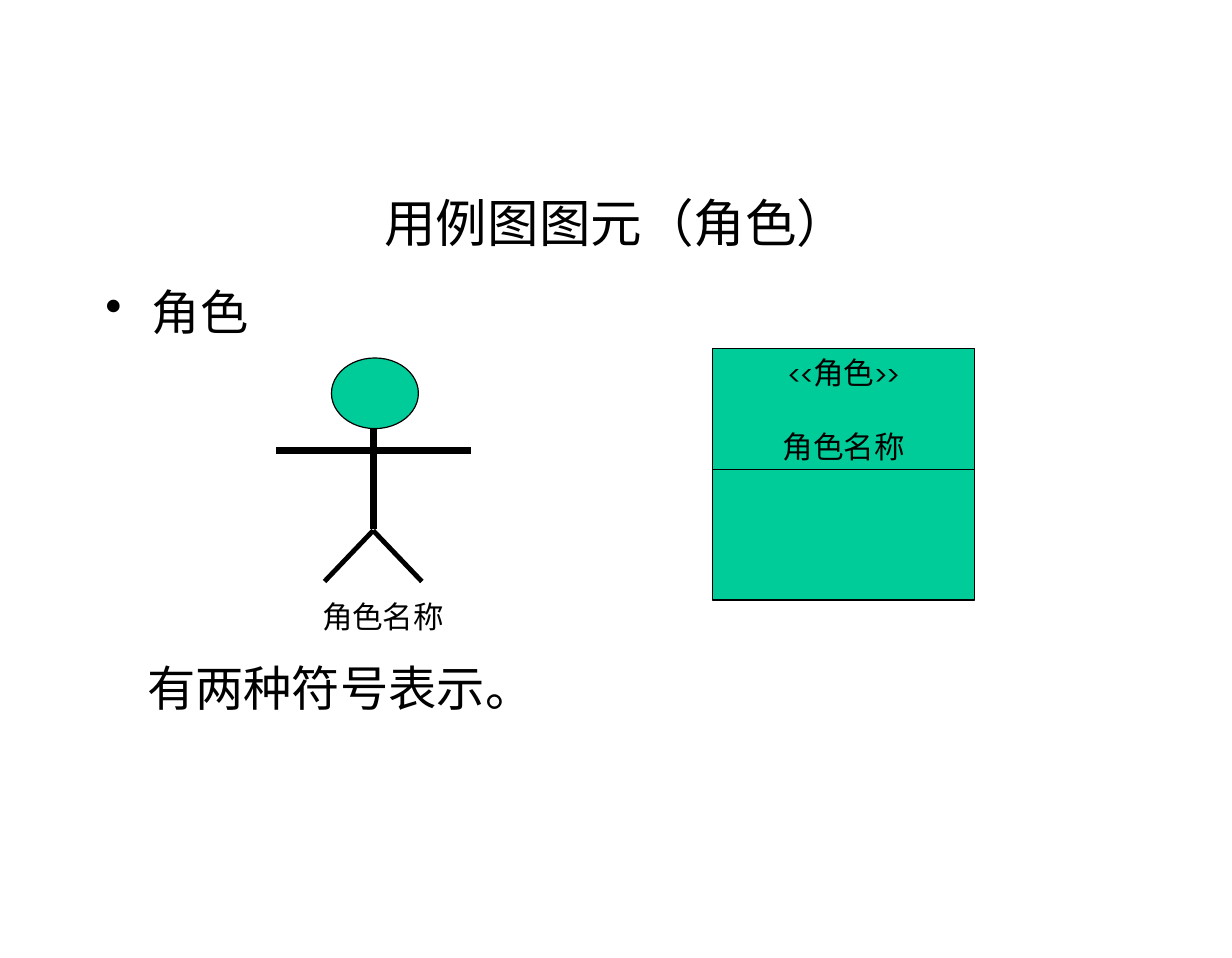
from dataclasses import dataclass

from lxml import etree
from pptx import Presentation
from pptx.dml.color import RGBColor
from pptx.enum.shapes import MSO_CONNECTOR, MSO_SHAPE
from pptx.enum.text import MSO_ANCHOR, PP_ALIGN
from pptx.oxml.ns import qn
from pptx.util import Inches, Pt

STRAIGHT = MSO_CONNECTOR.STRAIGHT
OVAL, RECTANGLE = MSO_SHAPE.OVAL, MSO_SHAPE.RECTANGLE
TOP, MIDDLE = MSO_ANCHOR.TOP, MSO_ANCHOR.MIDDLE
LEFT, CENTER = PP_ALIGN.LEFT, PP_ALIGN.CENTER


@dataclass(frozen=True)
class Theme:
    """Colours, fonts, type sizes and line widths of the slide."""
    ink: RGBColor = RGBColor(0x00, 0x00, 0x00)
    symbol: RGBColor = RGBColor(0x00, 0xCC, 0x99)
    text_font: str = "Times New Roman"
    label_font: str = "Cabin"
    title_size: int = 32
    body_size: int = 30
    label_size: int = 19
    thin: float = 0.75
    leg: float = 3
    limb: float = 4.5


THEME = Theme()


def set_frame(frame, anchor=TOP, wrap=True):
    """Set the margins, anchor and wrapping of a text frame."""
    frame.margin_left = frame.margin_right = Inches(0.11)
    frame.margin_top = frame.margin_bottom = Inches(0.05)
    frame.vertical_anchor = anchor
    frame.word_wrap = wrap


def write(para, words, font, size, align=LEFT):
    """Add one run of words to a paragraph."""
    para.alignment = align
    span = para.add_run()
    span.text = words
    span.font.name = font
    span.font.size = Pt(size)
    span.font.color.rgb = THEME.ink


def add_text(shapes, box, words, font, size, align=LEFT, anchor=TOP, wrap=True):
    """Add a one-paragraph text box and return its paragraph."""
    frame = shapes.add_textbox(*map(Inches, box)).text_frame
    set_frame(frame, anchor, wrap)
    para = frame.paragraphs[0]
    write(para, words, font, size, align)
    return para


def add_bullet(para, indent):
    """Give a paragraph a round bullet with a hanging indent."""
    properties = para._p.get_or_add_pPr()
    properties.set("marL", str(Inches(indent)))
    properties.set("indent", str(-Inches(indent)))
    etree.SubElement(properties, qn("a:buChar")).set("char", "•")


def add_line(shapes, start, end, width):
    """Draw a straight black line without a shadow."""
    line = shapes.add_connector(STRAIGHT, *map(Inches, (*start, *end)))
    line.line.color.rgb = THEME.ink
    line.line.width = Pt(width)
    etree.SubElement(line._element.spPr, qn("a:effectLst"))


def add_symbol(shapes, kind, box):
    """Draw a green shape with a thin black outline."""
    shape = shapes.add_shape(kind, *map(Inches, box))
    shape.shadow.inherit = False
    shape.fill.solid()
    shape.fill.fore_color.rgb = THEME.symbol
    shape.line.color.rgb = THEME.ink
    shape.line.width = Pt(THEME.thin)
    return shape


def add_title(page, box):
    """Place the centred slide title."""
    add_text(page.shapes, box, "用例图图元（角色）", THEME.text_font,
             THEME.title_size, CENTER, MIDDLE)


def add_body(page, box):
    """Place the bullet at the top of the box and the remark below the symbols."""
    left, top, width, height = box
    line_height = 0.75
    bullet = add_text(page.shapes, (left, top, width, line_height), "角色",
                      THEME.text_font, THEME.body_size)
    bullet.space_before = Pt(7.5)
    add_bullet(bullet, 0.4)
    remark = add_text(page.shapes,
                      (left + 0.36, top + height - line_height, width - 0.36, line_height),
                      "有两种符号表示。", THEME.text_font, THEME.body_size)
    remark.space_before = Pt(7.5)


def add_actor(page, box):
    """Draw the stick figure with its name underneath."""
    left, top, width, height = box
    shapes = page.shapes.add_group_shape().shapes
    middle = left + 0.92
    shoulder, hip, foot = top + 0.8, top + 1.49, top + 1.93
    add_symbol(shapes, OVAL, (middle - 0.36, top, 0.75, 0.61))
    add_line(shapes, (middle - 0.84, shoulder), (middle + 0.84, shoulder), THEME.limb)
    add_line(shapes, (middle, top + 0.61), (middle, hip - 0.01), THEME.limb)
    for side in (-1, 1):
        add_line(shapes, (middle, hip), (middle + side * 0.42, foot), THEME.leg)
    add_text(shapes, (left, top + height - 0.43, width, 0.43), "角色名称",
             THEME.label_font, THEME.label_size, CENTER, MIDDLE, wrap=False)


def add_class_box(page, box):
    """Draw the class symbol with its stereotype, name and divider."""
    left, top, width, height = box
    frame = add_symbol(page.shapes, RECTANGLE, box).text_frame
    set_frame(frame, wrap=False)
    write(frame.paragraphs[0], "<<角色>>", THEME.label_font, THEME.label_size, CENTER)
    name = frame.add_paragraph()
    name.space_before = Pt(22.7)
    write(name, "角色名称", THEME.label_font, THEME.label_size, CENTER)
    divider = top + 1.04
    add_line(page.shapes, (left, divider), (left + width, divider), THEME.thin)


def main():
    """Build the slide and save it."""
    deck = Presentation()
    deck.slide_width, deck.slide_height = Inches(10.63), Inches(8.27)
    page = deck.slides.add_slide(deck.slide_layouts[6])
    add_title(page, (0.8, 1.72, 9.04, 0.39))
    add_body(page, (0.8, 2.39, 8.59, 3.99))
    add_actor(page, (2.3, 3.09, 2.01, 2.45))
    add_class_box(page, (6.15, 3.01, 2.26, 2.17))
    deck.save("out.pptx")


if __name__ == "__main__":
    main()
